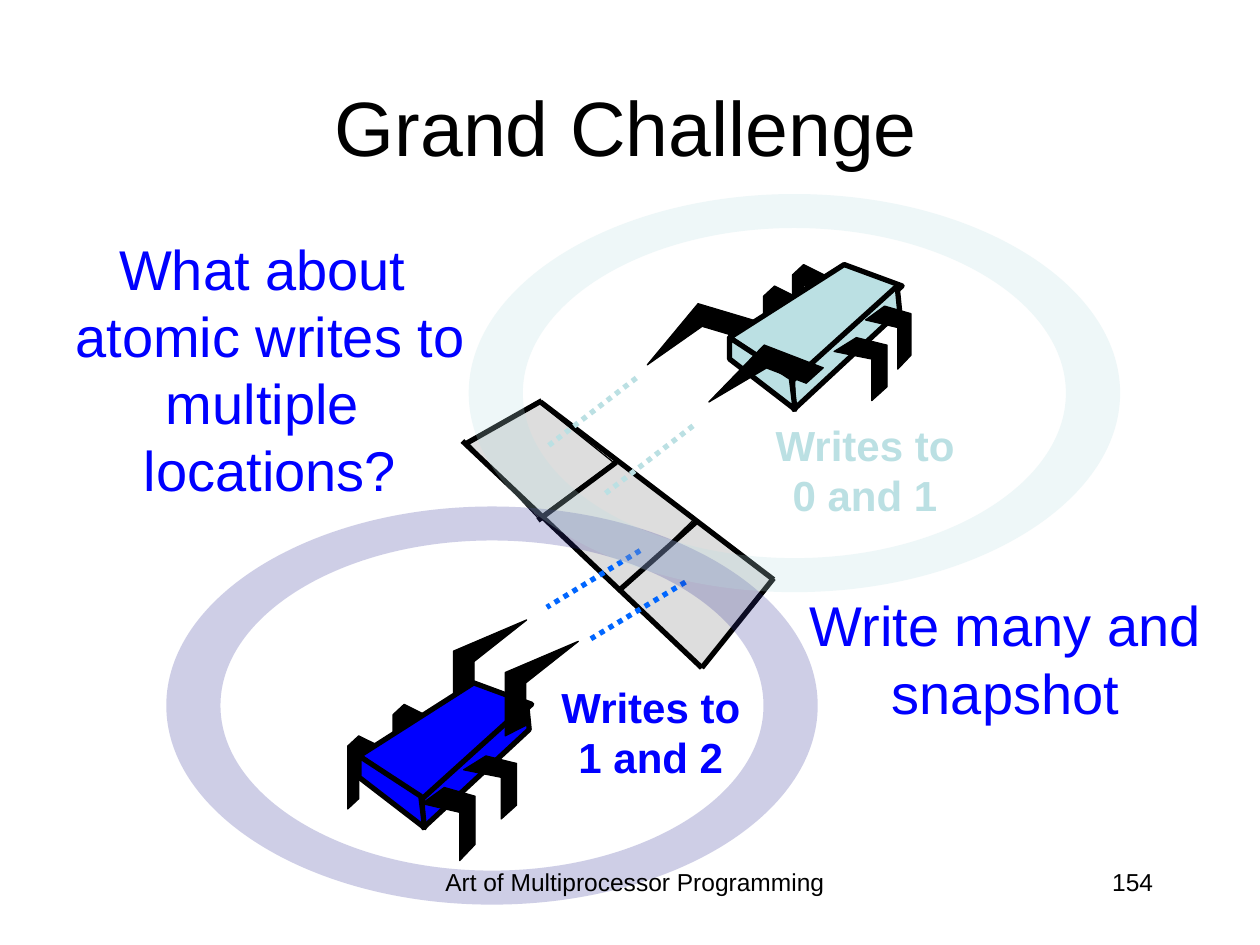
from lxml import etree
from pptx import Presentation
from pptx.dml.color import RGBColor
from pptx.enum.dml import MSO_LINE
from pptx.enum.shapes import MSO_CONNECTOR, MSO_SHAPE
from pptx.enum.text import MSO_ANCHOR, PP_ALIGN
from pptx.oxml.ns import qn
from pptx.util import Inches, Pt

BLACK = RGBColor(0x00, 0x00, 0x00)
BLUE = RGBColor(0x00, 0x00, 0xFF)
SKY = RGBColor(0x00, 0x66, 0xFF)
AQUA = RGBColor(0xBB, 0xE0, 0xE3)
INDIGO = RGBColor(0x33, 0x33, 0x99)
GRAY = RGBColor(0xDD, 0xDD, 0xDD)

CLAW = [(0, 1), (0.28, 0.89), (0.28, 0.44), (1, 0), (0, 0.33)]
BACK_LEG = [(1, 0.14), (0.35, 0), (0, 0.14), (0, 1), (0.35, 0.86),
            (0.35, 0.28), (1, 0.43)]
FRONT_LEG = [(0.42, 0), (0, 0.22), (0.71, 0.34), (0.71, 1), (1, 0.78), (1, 0.12)]
BODY_FACES = [
    [(0.91, 0), (0, 0.58), (0.51, 0.93), (1.37, 0.17)],
    [(1.33, 0.17), (0.5, 0.92), (0.51, 1.15), (1.35, 0.37)],
    [(0, 0.58), (0, 0.75), (0.52, 1.15), (0.49, 0.9)],
]
CELLS = [
    [(5.51, 4.11), (4.9, 4.68), (5.57, 5.3), (6.14, 4.6)],
    [(4.29, 4.08), (4.92, 4.7), (5.52, 4.11), (4.89, 3.65)],
    [(4.27, 3.19), (3.71, 3.51), (4.27, 4.11), (4.87, 3.67)],
]
CELL_EDGES = [
    ((3.67, 3.5), (5.57, 5.3)), ((4.29, 3.19), (6.14, 4.6)),
    ((3.7, 3.52), (4.3, 3.18)), ((5.57, 5.3), (6.14, 4.59)),
    ((4.92, 4.68), (5.54, 4.13)), ((4.27, 4.13), (4.89, 3.67)),
]
WRITES = [
    ((5.05, 3), (4.35, 3.54), AQUA), ((5.5, 3.38), (4.8, 3.92), AQUA),
    ((5.08, 4.37), (4.34, 4.82), SKY), ((5.44, 4.62), (4.69, 5.07), SKY),
]
QUARTERS = [(-1, 0), (0, -1), (1, 0), (0, 1)]
CURVE = 0.55


def add_text(page, box, lines, size, color, align=PP_ALIGN.CENTER, bold=False,
             anchor=MSO_ANCHOR.TOP, indent=0):
    frame = page.shapes.add_textbox(*map(Inches, box)).text_frame
    frame.word_wrap = True
    frame.vertical_anchor = anchor
    frame.margin_left = Inches(0.1 + indent)
    for index, line in enumerate(lines):
        para = frame.paragraphs[0] if index == 0 else frame.add_paragraph()
        para.text = line
        para.alignment = align
        para.font.name = "Arial"
        para.font.size = Pt(size)
        para.font.bold = bold
        para.font.color.rgb = color


def add_outline(page, points, fill, weight):
    first, *rest = [(Inches(x), Inches(y)) for x, y in points]
    builder = page.shapes.build_freeform(*first)
    builder.add_line_segments(rest, close=True)
    shape = builder.convert_to_shape()
    shape.shadow.inherit = False
    shape.fill.solid()
    shape.fill.fore_color.rgb = fill
    shape.line.color.rgb = BLACK
    shape.line.width = Pt(weight)
    return shape


def add_limb(page, outline, box, rotation=0):
    left, top, width, height = box
    points = [(left + width * (1 - x if rotation else x), top + height * y)
              for x, y in outline]
    add_outline(page, points, BLACK, 0.75).rotation = rotation


def add_line(page, start, end, color, dash=None):
    line = page.shapes.add_connector(
        MSO_CONNECTOR.STRAIGHT, *map(Inches, (*start, *end)))
    line.line.color.rgb = color
    line.line.width = Pt(3)
    if dash:
        line.line.dash_style = dash
    etree.SubElement(line._element.spPr, qn("a:effectLst"))


def add_body(page, left, top, color):
    for face in BODY_FACES:
        add_outline(page, [(left + x, top + y) for x, y in face], color, 3)


def add_bug(page, corner, color, claws, back_legs, front_legs):
    back_claw, front_claw = claws
    add_limb(page, CLAW, *back_claw)
    for left, top in back_legs:
        add_limb(page, BACK_LEG, (left, top, 0.25, 0.58))
    add_body(page, *corner, color)
    for box in front_legs:
        add_limb(page, FRONT_LEG, box)
    add_limb(page, CLAW, *front_claw)


def add_memory_cells(page):
    for cell in CELLS:
        add_outline(page, cell, GRAY, 0.75)


def add_memory_lines(page):
    for start, end in CELL_EDGES:
        add_line(page, start, end, BLACK)
    for start, end, color in WRITES:
        add_line(page, start, end, color, MSO_LINE.ROUND_DOT)


def add_ellipse(track, center, radii, quarters):
    def add_step(tag, points):
        step = etree.SubElement(track, qn(tag))
        for point in points:
            x, y = (str(int(middle + radius * part))
                    for middle, radius, part in zip(center, radii, point))
            etree.SubElement(step, qn("a:pt"), x=x, y=y)

    add_step("a:moveTo", quarters[:1])
    for start, end in zip(quarters, quarters[1:] + quarters[:1]):
        leave = [a + CURVE * b for a, b in zip(start, end)]
        arrive = [b + CURVE * a for a, b in zip(start, end)]
        add_step("a:cubicBezTo", [leave, arrive, end])
    etree.SubElement(track, qn("a:close"))


def add_ring(page, box, color):
    ring = page.shapes.add_shape(MSO_SHAPE.DONUT, *map(Inches, box))
    ring.shadow.inherit = False
    ring.fill.solid()
    ring.fill.fore_color.rgb = color
    ring.line.fill.background()
    properties = ring._element.spPr
    tint = properties.find(qn("a:solidFill"))[0]
    etree.SubElement(tint, qn("a:alpha"), val="24000")

    outline = etree.Element(qn("a:custGeom"))
    tracks = etree.SubElement(outline, qn("a:pathLst"))
    track = etree.SubElement(tracks, qn("a:path"), w=str(ring.width), h=str(ring.height))
    center = ring.width / 2, ring.height / 2
    hole = center[0] - Inches(0.43), center[1] - Inches(0.27)
    add_ellipse(track, center, center, QUARTERS)
    add_ellipse(track, center, hole, QUARTERS[:1] + QUARTERS[:0:-1])
    properties.replace(properties.find(qn("a:prstGeom")), outline)


def main():
    deck = Presentation()
    deck.slide_width, deck.slide_height = Inches(10), Inches(7.5)
    page = deck.slides.add_slide(deck.slide_layouts[6])

    add_text(page, (7.17, 6.83, 2.08, 0.5), ["154"], 14, BLACK, PP_ALIGN.RIGHT)
    add_memory_cells(page)
    add_text(page, (0.72, 0.37, 8.5, 1.25), ["Grand Challenge"], 44, BLACK,
             anchor=MSO_ANCHOR.MIDDLE)
    add_bug(page, (2.85, 5.42), BLUE,
            claws=[((3.6, 4.92, 0.58, 0.75),), ((4.01, 5.09, 0.58, 0.75),)],
            back_legs=[(2.76, 5.84), (3.12, 5.59)],
            front_legs=[(3.35, 6.25, 0.42, 0.58), (3.68, 6, 0.42, 0.5)])
    add_bug(page, (5.79, 2.1), AQUA,
            claws=[((5.29, 2.35, 0.58, 0.75), 286.6),
                   ((5.79, 2.68, 0.58, 0.75), 291.1)],
            back_legs=[(6.29, 2.1), (6.06, 2.27)],
            front_legs=[(6.87, 2.43, 0.36, 0.5), (6.62, 2.68, 0.42, 0.5)])
    add_text(page, (5.94, 3.28, 1.85, 0.91), ["Writes to 0 and 1"], 24, AQUA, bold=True)
    add_text(page, (4.24, 5.36, 1.85, 0.91), ["Writes to 1 and 2"], 24, BLUE, bold=True)
    add_memory_lines(page)
    add_ring(page, (1.32, 4.02, 5.17, 3.16), INDIGO)
    add_ring(page, (3.72, 1.54, 5.17, 3.16), AQUA)
    add_text(page, (0.23, 1.81, 3.83, 2.26),
             ["What about ", "atomic writes to multiple ", "locations?"], 32, BLUE)
    add_text(page, (5.46, 4.64, 4.54, 1.17), ["Write many and", "snapshot"], 32, BLUE,
             indent=0.5)
    add_text(page, (3.33, 6.83, 3.42, 0.52), ["Art of Multiprocessor Programming"],
             14, BLACK)
    deck.save("out.pptx")


if __name__ == "__main__":
    main()
